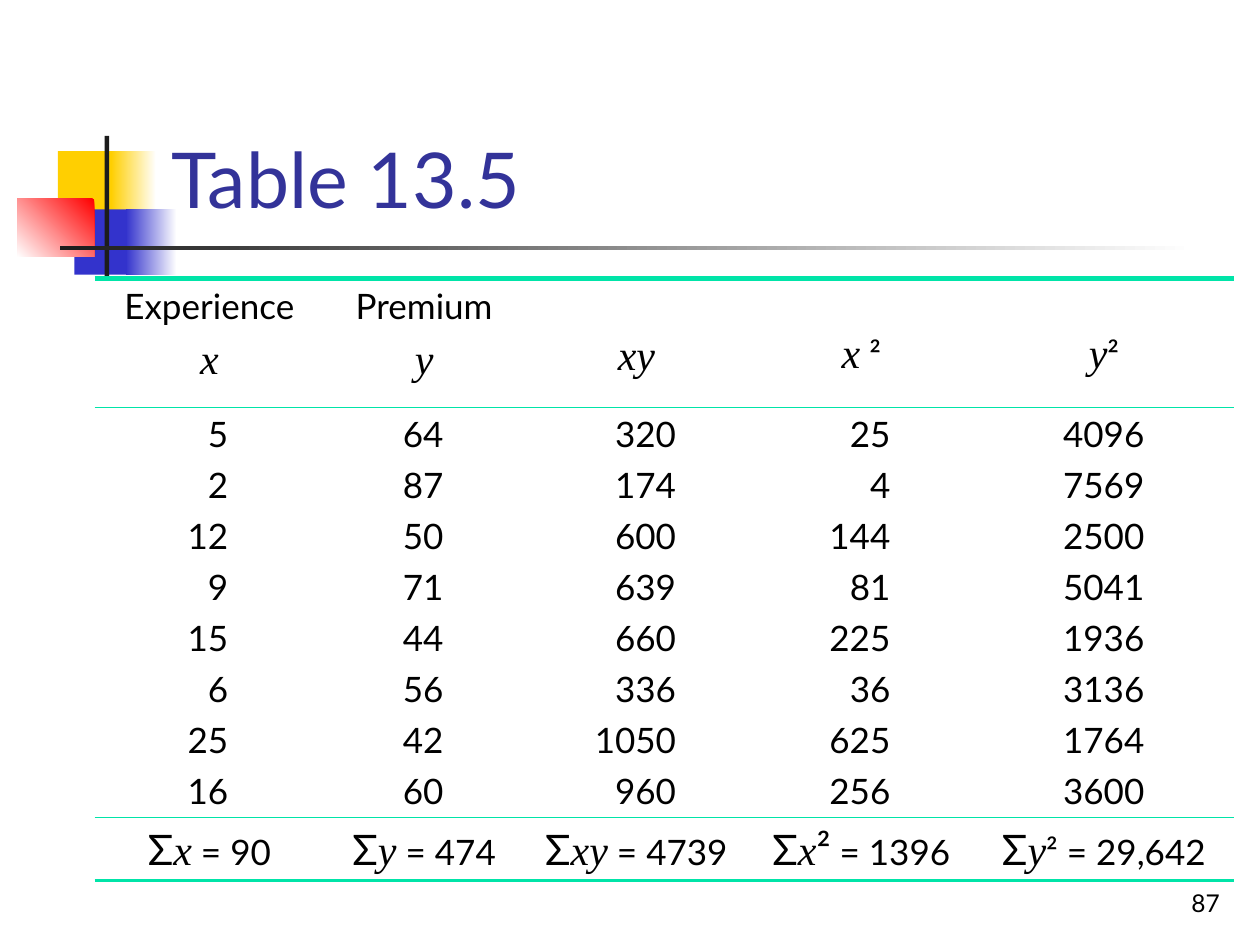
import pptx
import pptx.dml.color
import pptx.enum.shapes
import pptx.enum.text
import pptx.oxml
import pptx.oxml.ns
import pptx.util
from pptx.util import Cm, Pt

RGBColor = pptx.dml.color.RGBColor
WHITE = RGBColor(0xFF, 0xFF, 0xFF)
BLACK = RGBColor(0x00, 0x00, 0x00)
CHARCOAL = RGBColor(0x1C, 0x1C, 0x1C)
YELLOW = RGBColor(0xFF, 0xCF, 0x01)
BLUE = RGBColor(0x33, 0x33, 0xCC)
RED = RGBColor(0xFF, 0x00, 0x00)
INDIGO = RGBColor(0x33, 0x33, 0x99)
GREEN = RGBColor(0x00, 0xE4, 0xA8)

ALIGN = pptx.enum.text.PP_ALIGN
ANCHOR = pptx.enum.text.MSO_ANCHOR
PLAIN = {"name": "Lato", "size": Pt(20), "italic": False}
LARGE = {**PLAIN, "size": Pt(24)}
SYMBOL = {"name": "Times New Roman", "size": Pt(24), "italic": True}
TITLE = {**PLAIN, "size": Pt(44)}
NUMBER = {**PLAIN, "size": Pt(14)}


def write_paragraphs(frame, paragraphs, alignment, space=5, color=BLACK):
    for index, runs in enumerate(paragraphs):
        paragraph = frame.add_paragraph() if index else frame.paragraphs[0]
        paragraph.alignment = alignment
        paragraph.space_before = Pt(space)
        for text, font_format in runs:
            run = paragraph.add_run()
            run.text = text
            run.font.color.rgb = color
            for attribute, value in font_format.items():
                setattr(run.font, attribute, value)


def add_border(cell, side, width):
    line = pptx.oxml.parse_xml(
        f'<a:{side} {pptx.oxml.ns.nsdecls("a")} w="{Pt(width)}">'
        f'<a:solidFill><a:srgbClr val="{GREEN}"/></a:solidFill></a:{side}>')
    properties = cell._tc.get_or_add_tcPr()
    properties.insert(0 if side == "lnT" else 1, line)


presentation = pptx.Presentation()
presentation.slide_width = Cm(25.4)
presentation.slide_height = Cm(19.05)
slide = presentation.slides.add_slide(presentation.slide_layouts[6])

decorations = [
    (1.17, 3.05, 1.22, 1.32, [YELLOW], 0),
    (2.24, 3.05, 0.91, 1.32, [WHITE, YELLOW], 180),
    (1.5, 4.22, 1.17, 1.32, [BLUE], 0),
    (2.54, 4.22, 1.02, 1.32, [WHITE, BLUE], 180),
    (0.35, 4.01, 1.55, 1.17, [RED, WHITE], 225),
    (2.11, 2.74, 0.09, 2.92, [CHARCOAL], 0),
    (1.22, 4.95, 22.86, 0.09, [WHITE, CHARCOAL], 180),
]
for left, top, width, height, colors, angle in decorations:
    shape = slide.shapes.add_shape(
        pptx.enum.shapes.MSO_SHAPE.RECTANGLE, Cm(left), Cm(top), Cm(width), Cm(height))
    shape.shadow.inherit = False
    shape.line.fill.background()
    if len(colors) == 1:
        shape.fill.solid()
        shape.fill.fore_color.rgb = colors[0]
    else:
        shape.fill.gradient()
        shape.fill.gradient_angle = angle
        for stop, color in zip(shape.fill.gradient_stops, colors):
            stop.color.rgb = color

text_boxes = [
    (3.2, 0.58, 21.64, 4.06, "Table 13.5", TITLE, ALIGN.LEFT, INDIGO),
    (19.56, 17.35, 5.28, 1.27, "87", NUMBER, ALIGN.RIGHT, BLACK),
]
for left, top, width, height, text, font_format, alignment, color in text_boxes:
    box = slide.shapes.add_textbox(Cm(left), Cm(top), Cm(width), Cm(height))
    box.text_frame.word_wrap = True
    box.text_frame.vertical_anchor = ANCHOR.BOTTOM
    write_paragraphs(box.text_frame, [[(text, font_format)]], alignment, 0, color)

experience = [5, 2, 12, 9, 15, 6, 25, 16]
premium = [64, 87, 50, 71, 44, 56, 42, 60]
values = [
    experience,
    premium,
    [x * y for x, y in zip(experience, premium)],
    [x ** 2 for x in experience],
    [y ** 2 for y in premium],
]
headers = [
    [[("Experience", PLAIN)], [("x", SYMBOL)]],
    [[("Premium", PLAIN)], [("y", SYMBOL)]],
    [[("xy", SYMBOL)]],
    [[("x", SYMBOL), (" ²", PLAIN)]],
    [[("y", SYMBOL), ("²", PLAIN)]],
]
totals = [
    [("x", SYMBOL), (" = 90", PLAIN)],
    [("y", SYMBOL), (" = 474", PLAIN)],
    [("xy", SYMBOL), (" = 4739", PLAIN)],
    [("x", SYMBOL), ("²", LARGE), (" = 1396", PLAIN)],
    [("y", SYMBOL), ("² = 29,642", PLAIN)],
]
column_widths = [4.62, 4.04, 4.52, 4.55, 5.23]
row_heights = [2.59, 8.28, 1.27]
header_margins = [0.13, 0.13, 1.11, 1.07, 1.07]
value_margins = [1.93, 1.63, 1.46, 1.69, 1.8]
border_widths = [3, 0.11, 0.11, 1.47]

table = slide.shapes.add_table(
    3, 5, Cm(1.91), Cm(5.61), Cm(sum(column_widths)), Cm(sum(row_heights))).table
table.first_row = False
table.horz_banding = False
style = table._tbl.tblPr.find(pptx.oxml.ns.qn("a:tableStyleId"))
style.text = "{2D5ABB26-0587-4C30-8999-92F81FD0307C}"
for row, height in zip(table.rows, row_heights):
    row.height = Cm(height)

for column, width in enumerate(column_widths):
    table.columns[column].width = Cm(width)
    header, body, total = [table.cell(row, column) for row in range(3)]
    for row, cell in enumerate((header, body, total)):
        cell.fill.background()
        add_border(cell, "lnT", border_widths[row])
        add_border(cell, "lnB", border_widths[row + 1])
    header.margin_top = Cm(header_margins[column])
    body.margin_right = Cm(value_margins[column])
    write_paragraphs(header.text_frame, headers[column], ALIGN.CENTER, 6)
    write_paragraphs(
        body.text_frame, [[(str(value), PLAIN)] for value in values[column]], ALIGN.RIGHT)
    write_paragraphs(total.text_frame, [[("Σ", LARGE), *totals[column]]], ALIGN.CENTER)

presentation.save("out.pptx")
